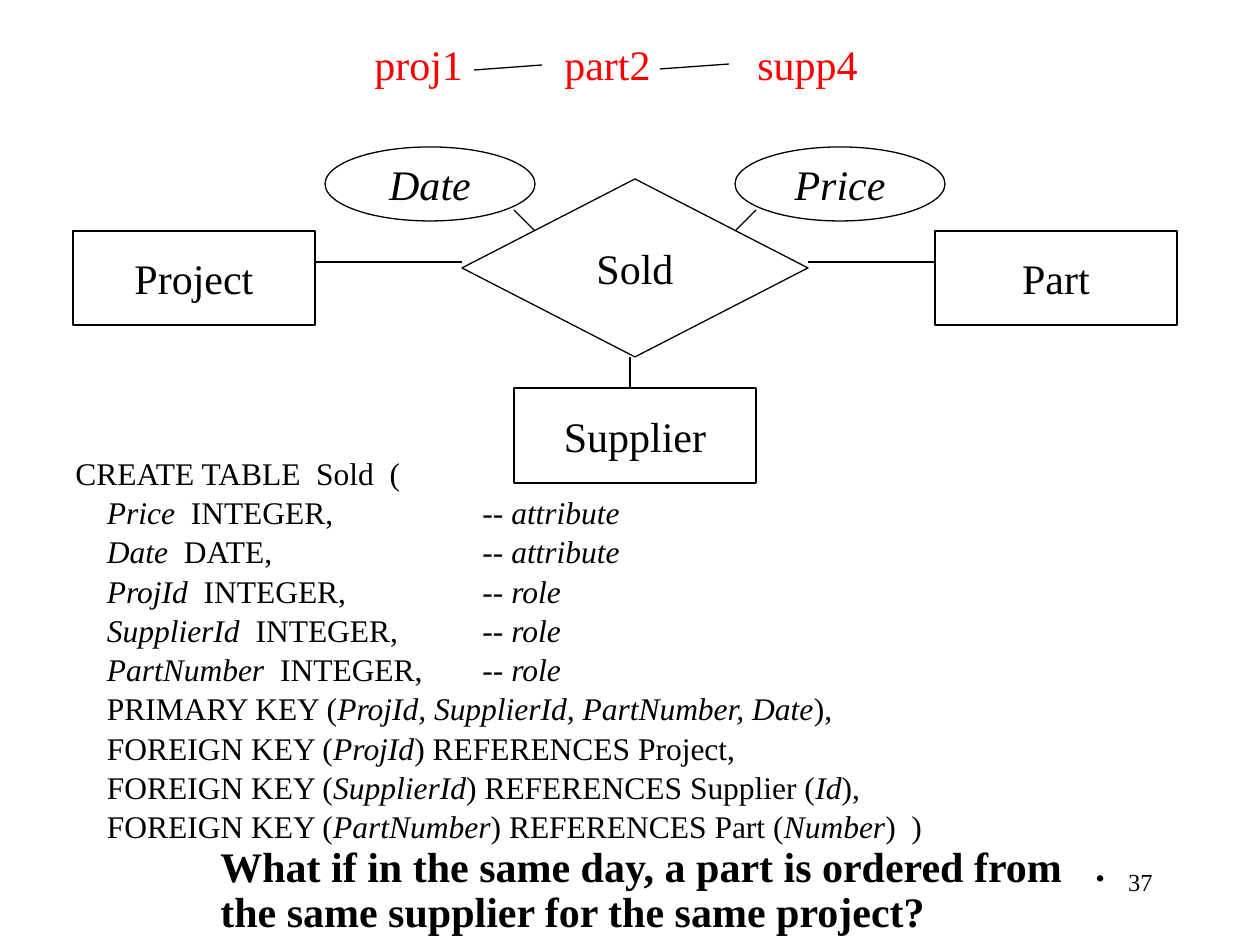
from lxml.etree import SubElement as Sub
from pptx import Presentation
from pptx.dml.color import RGBColor
from pptx.enum.shapes import MSO_CONNECTOR as Link, MSO_SHAPE as Kind
from pptx.enum.text import MSO_ANCHOR as Anchor, PP_ALIGN as Align
from pptx.oxml.ns import qn
from pptx.util import Pt

SCALE = 914400 / 126
BLACK = RGBColor(0, 0, 0)
WHITE = RGBColor(255, 255, 255)
RED = RGBColor(255, 0, 0)
FONT = "Times New Roman"
INDENT = "    "
COLUMNS = [
    ("*Price*  INTEGER,", "attribute"),
    ("*Date*  DATE,", "attribute"),
    ("*ProjId*  INTEGER,", "role"),
    ("*SupplierId*  INTEGER,", "role"),
    ("*PartNumber*  INTEGER,", "role"),
]
KEYS = [
    "PRIMARY KEY (*ProjId, SupplierId, PartNumber, Date*),",
    "FOREIGN KEY (*ProjId*) REFERENCES Project,",
    "FOREIGN KEY (*SupplierId*) REFERENCES Supplier (*Id*),",
    "FOREIGN KEY (*PartNumber*) REFERENCES Part (*Number*)  )",
]
NODES = [
    (Kind.DIAMOND, "Sold", 462, 179, 346, 178),
    (Kind.RECTANGLE, "Project", 73, 231, 242, 94),
    (Kind.RECTANGLE, "Part", 935, 231, 242, 94),
    (Kind.OVAL, "*Date*", 325, 147, 210, 74),
    (Kind.OVAL, "*Price*", 735, 147, 210, 74),
    (Kind.RECTANGLE, "Supplier", 514, 388, 242, 95),
]
LINES = [
    (808, 262, 935, 262),
    (462, 262, 315, 262),
    (514, 210, 535, 231),
    (630, 357, 630, 388),
    (756, 210, 735, 231),
    (660, 69, 729, 64),
    (474, 70, 542, 65),
]
LABELS = [("proj1", 362), ("part2", 552), ("supp4", 745)]


def px(*nums):
    return [round(n * SCALE) for n in nums]


def write(para, text, size, color=BLACK, bold=False):
    for i, part in enumerate(text.split("*")):
        if part:
            run = para.add_run()
            run.text = part
            font = run.font
            font.name, font.size = FONT, Pt(size)
            font.bold, font.italic = bold, i % 2 == 1
            font.color.rgb = color


def add_box(slide, *place):
    frame = slide.shapes.add_textbox(*px(*place)).text_frame
    frame.word_wrap = True
    return frame


def add_node(slide, kind, text, *place):
    shape = slide.shapes.add_shape(kind, *px(*place))
    shape.shadow.inherit = False
    shape.fill.solid()
    shape.fill.fore_color.rgb = WHITE
    shape.line.color.rgb = BLACK
    shape.line.width = Pt(0.75)
    frame = shape.text_frame
    frame.word_wrap = False
    frame.vertical_anchor = Anchor.MIDDLE
    para = frame.paragraphs[0]
    para.alignment = Align.CENTER
    write(para, text, 24)


def add_line(slide, *ends):
    line = slide.shapes.add_connector(Link.STRAIGHT, *px(*ends))
    line.line.color.rgb = BLACK
    line.line.width = Pt(0.75)
    Sub(line._element.spPr, qn("a:effectLst"))


def add_note(slide, text, place, color=BLACK, bold=False):
    para = add_box(slide, *place).paragraphs[0]
    para.line_spacing = 0.9
    write(para, text, 24, color, bold)


def add_code(slide):
    frame = add_box(slide, 63, 446, 900, 390)
    rows = ["CREATE TABLE  Sold  ("]
    rows += [f"{INDENT}{name}\t-- *{note}*" for name, note in COLUMNS]
    rows += [INDENT + key for key in KEYS]
    for i, row in enumerate(rows):
        para = frame.add_paragraph() if i else frame.paragraphs[0]
        para.line_spacing = 1.04
        if "\t" in row:
            tabs = Sub(para._p.get_or_add_pPr(), qn("a:tabLst"))
            Sub(tabs, qn("a:tab"), pos=str(px(407)[0]), algn="l")
        write(para, row, 18)


def add_page(slide):
    para = add_box(slide, 903, 861, 262, 63).paragraphs[0]
    para.alignment = Align.RIGHT
    props = para._p.get_or_add_pPr()
    gap = px(32)[0]
    props.set("marL", str(gap))
    props.set("indent", str(-gap))
    Sub(props, qn("a:buChar"), char="•")
    write(para, "37", 14)


def main():
    deck = Presentation()
    deck.slide_width, deck.slide_height = px(1260, 945)
    slide = deck.slides.add_slide(deck.slide_layouts[6])
    add_page(slide)
    add_code(slide)
    for node in NODES:
        add_node(slide, *node)
    for ends in LINES:
        add_line(slide, *ends)
    ask = "What if in the same day, a part is ordered from the same supplier for the same project?"
    add_note(slide, ask, (208, 840, 920, 105), bold=True)
    for text, left in LABELS:
        add_note(slide, text, (left, 38, 378, 58), RED)
    deck.save("out.pptx")


if __name__ == "__main__":
    main()
